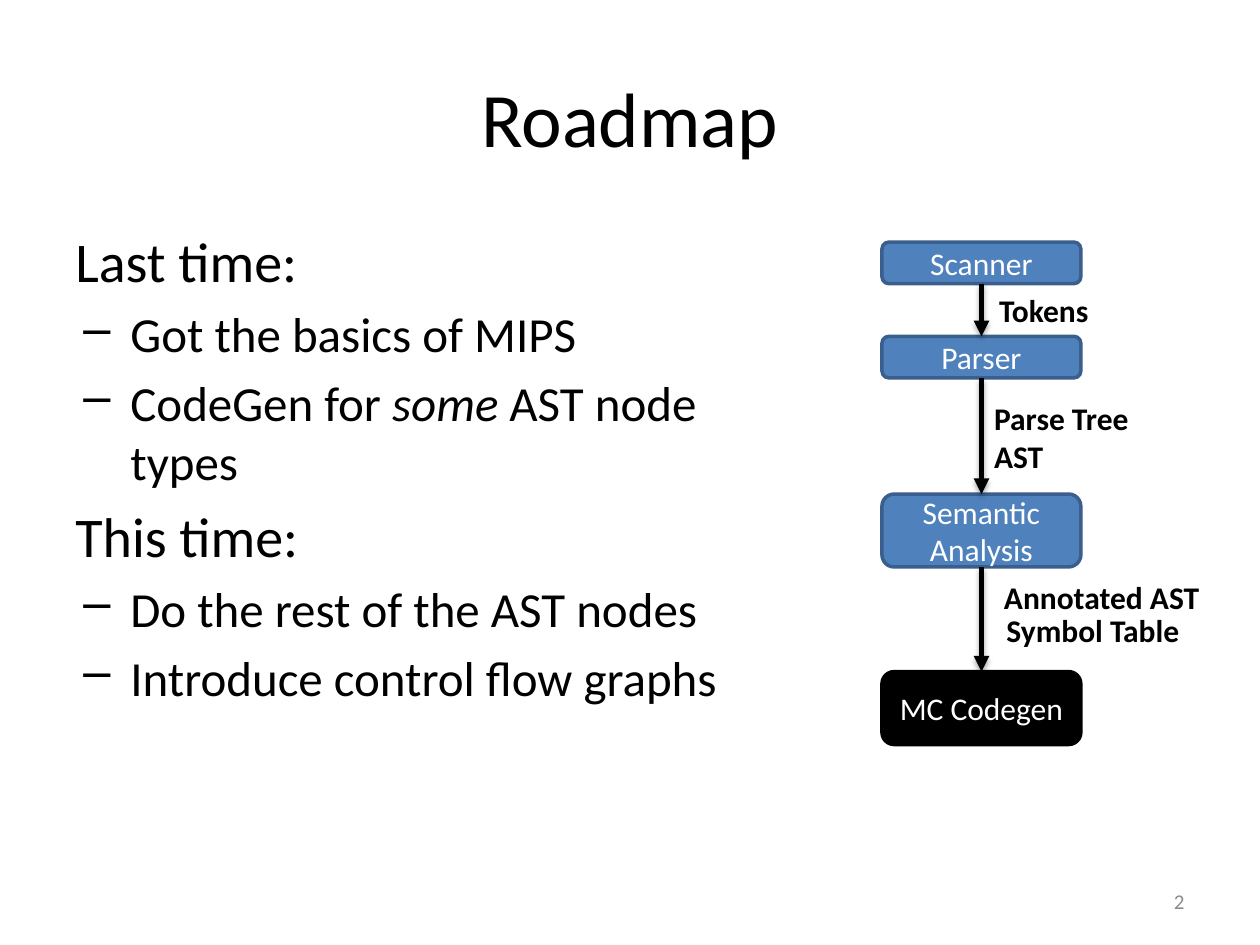
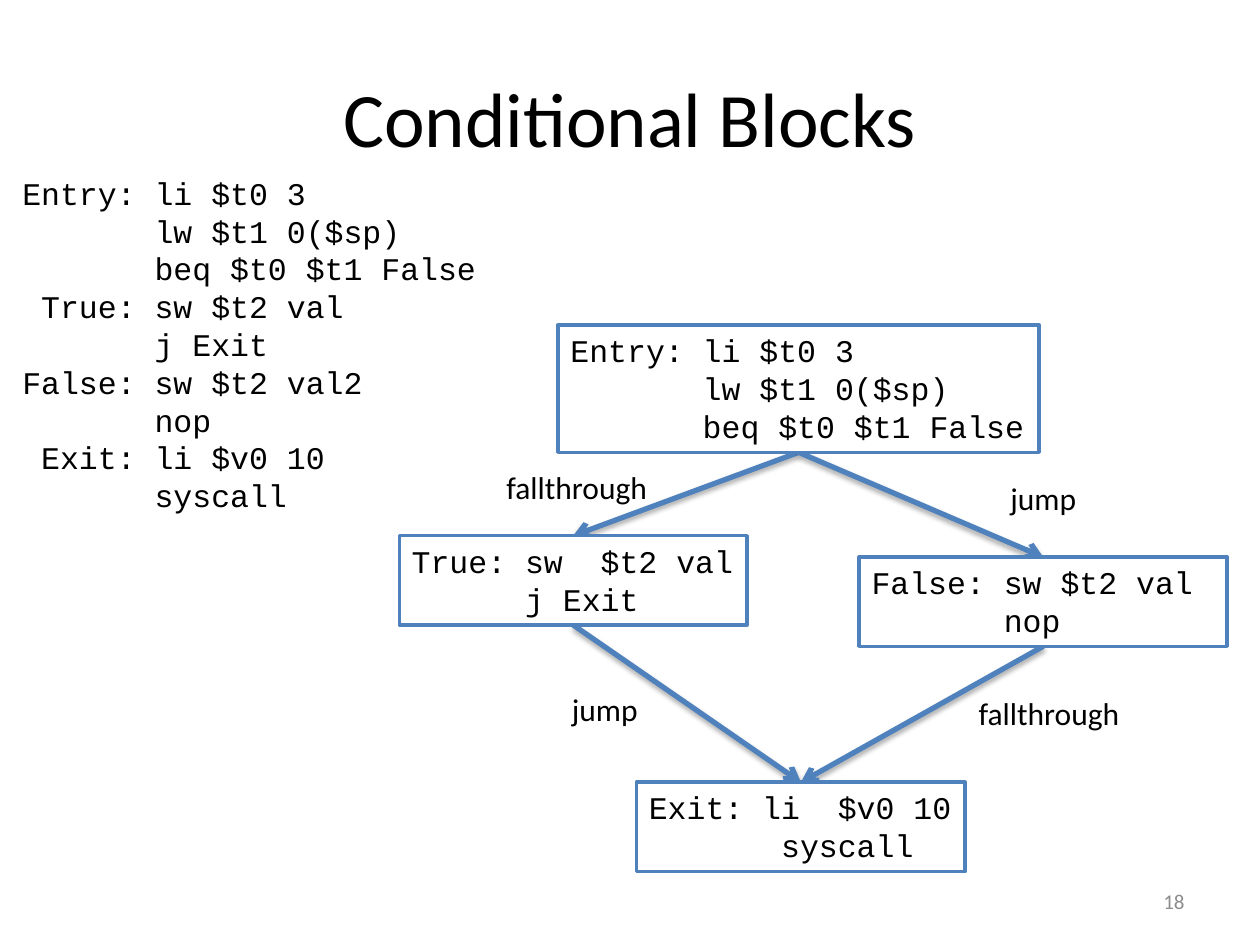
"""Build two compiler-course slides: a roadmap and a control flow graph."""
from dataclasses import dataclass
from itertools import pairwise

from lxml.etree import SubElement
from pptx import Presentation
from pptx.dml.color import RGBColor
from pptx.enum.shapes import MSO_CONNECTOR, MSO_SHAPE
from pptx.enum.text import MSO_ANCHOR, PP_ALIGN
from pptx.oxml.ns import qn
from pptx.presentation import Presentation as Deck
from pptx.shapes.autoshape import Shape
from pptx.slide import Slide
from pptx.text.text import TextFrame, _Paragraph as Paragraph
from pptx.util import Cm, Pt

BLACK, WHITE, GREY = "000000", "FFFFFF", "8C8C8C"
BLUE, DARK_BLUE = "4F81BD", "3A5F8C"
SANS, MONO = "Calibri", "Courier New"
CHARACTER_WIDTH = 0.381
LABEL_HEIGHT = 1.02


@dataclass(frozen=True)
class Area:
    """A rectangle in centimetres."""
    left: float
    top: float
    width: float
    height: float

    @property
    def center(self) -> float:
        """Return the horizontal middle."""
        return self.left + self.width / 2

    @property
    def bottom(self) -> float:
        """Return the lower edge."""
        return self.top + self.height

    def lengths(self) -> tuple[Cm, ...]:
        """Return left, top, width and height as lengths."""
        return Cm(self.left), Cm(self.top), Cm(self.width), Cm(self.height)


@dataclass(frozen=True)
class Style:
    """The look of a paragraph."""
    size: int = 18
    color: str = BLACK
    font: str = SANS
    bold: bool = False
    align: PP_ALIGN = PP_ALIGN.LEFT


@dataclass(frozen=True)
class Stage:
    """A compiler phase."""
    name: str
    area: Area
    fill: str = BLUE
    line: str = DARK_BLUE


@dataclass(frozen=True)
class Label:
    """A caption with its place."""
    text: str
    area: Area


@dataclass(frozen=True)
class CodeLine:
    """An instruction line, with indent and operand column in characters."""
    indent: int
    text: str
    operand_column: int = 11


@dataclass(frozen=True)
class Block:
    """A basic block of the flow graph."""
    area: Area
    lines: tuple[CodeLine, ...]


@dataclass(frozen=True)
class Point:
    """A line of the outline, whose second phrase is italic."""
    phrases: tuple[str, ...]
    bulleted: bool = True


TITLE_AREA = Area(1.27, 0.76, 22.86, 3.18)
NUMBER_AREA = Area(18.21, 17.65, 5.92, LABEL_HEIGHT)
OUTLINE_AREA = Area(1.27, 4.45, 13.77, 13.34)
LISTING_AREA = Area(0.2, 3.38, 9.75, 7.19)
TITLE = Style(44, align=PP_ALIGN.CENTER)
NUMBER = Style(12, GREY, align=PP_ALIGN.RIGHT)
STAGE = Style(color=WHITE, align=PP_ALIGN.CENTER)
CODE = Style(font=MONO)

OUTLINE = (
    Point(("Last time:",), False),
    Point(("Got the basics of MIPS",)),
    Point(("CodeGen for ", "some ", "AST node types")),
    Point(("This time:",), False),
    Point(("Do the rest of the AST nodes",)),
    Point(("Introduce control flow graphs",)),
)
STAGES = (
    Stage("Scanner", Area(17.78, 4.88, 4.01, 0.84)),
    Stage("Parser", Area(17.78, 6.78, 4.01, 0.84)),
    Stage("Semantic Analysis", Area(17.78, 9.96, 4.01, 1.47)),
    Stage("MC Codegen", Area(17.78, 13.54, 4.01, 1.47), BLACK, BLACK),
)
STAGE_OUTPUTS = (
    Label("Tokens", Area(19.89, 5.74, 2.31, LABEL_HEIGHT)),
    Label("Parse Tree\nAST", Area(19.79, 7.92, 3.25, 1.8)),
    Label("Annotated AST", Area(19.99, 11.53, 4.62, LABEL_HEIGHT)),
    Label("Symbol Table", Area(20.04, 12.19, 4.01, LABEL_HEIGHT)),
)
ENTRY_LINES = (
    CodeLine(0, "Entry: li\t$t0 3"),
    CodeLine(7, "lw\t$t1 0($sp)"),
    CodeLine(7, "beq $t0 $t1 False"),
)
NOP, SYSCALL = CodeLine(7, "nop"), CodeLine(7, "syscall")
LISTING = ENTRY_LINES + (
    CodeLine(1, "True: sw\t$t2 val"),
    CodeLine(7, "j Exit"),
    CodeLine(0, "False: sw\t$t2 val2"),
    NOP,
    CodeLine(1, "Exit: li\t$v0 10"),
    SYSCALL,
)
BLOCKS = {
    "entry": Block(Area(11.25, 6.55, 9.7, 2.57), ENTRY_LINES),
    "true": Block(Area(8.05, 10.8, 7.01, 1.8),
                  (CodeLine(0, "True: sw\t$t2 val", 10), CodeLine(6, "j Exit"))),
    "false": Block(Area(17.32, 11.23, 7.42, 1.8),
                   (CodeLine(0, "False: sw\t$t2 val"), NOP)),
    "exit": Block(Area(12.83, 15.77, 6.63, 1.8),
                  (CodeLine(0, "Exit: li\t$v0 10", 10), SYSCALL)),
}
EDGES = (("entry", "true"), ("entry", "false"), ("true", "exit"), ("false", "exit"))
EDGE_LABELS = (
    Label("fallthrough", Area(9.96, 9.32, 3.38, LABEL_HEIGHT)),
    Label("jump", Area(20.12, 9.53, 1.85, LABEL_HEIGHT)),
    Label("jump", Area(11.28, 13.79, 1.85, LABEL_HEIGHT)),
    Label("fallthrough", Area(19.48, 13.87, 3.38, LABEL_HEIGHT)),
)


def rgb(color: str) -> RGBColor:
    """Turn a hex string into a colour."""
    return RGBColor.from_string(color)


def format_paragraph(para: Paragraph, style: Style) -> None:
    """Apply a style to a whole paragraph."""
    para.alignment = style.align
    para.font.size = Pt(style.size)
    para.font.name = style.font
    para.font.bold = style.bold
    para.font.color.rgb = rgb(style.color)


def write(frame: TextFrame, text: str, style: Style) -> None:
    """Fill a frame with one styled paragraph per line."""
    frame.text = text
    frame.word_wrap = True
    for para in frame.paragraphs:
        format_paragraph(para, style)


def add_text(page: Slide, area: Area, text: str, style: Style) -> TextFrame:
    """Add a text box and return its frame."""
    frame = page.shapes.add_textbox(*area.lengths()).text_frame
    write(frame, text, style)
    return frame


def add_label(page: Slide, label: Label, style: Style) -> None:
    """Add a caption that may use its full width."""
    add_text(page, label.area, label.text, style).margin_right = 0


def add_box(page: Slide, kind: MSO_SHAPE, area: Area, fill: str, line: str) -> Shape:
    """Add a flat outlined shape."""
    box = page.shapes.add_shape(kind, *area.lengths())
    box.shadow.inherit = False
    box.fill.solid()
    box.fill.fore_color.rgb = rgb(fill)
    box.line.color.rgb = rgb(line)
    box.line.width = Pt(2)
    return box


def add_arrow(page: Slide, start: Area, end: Area, color: str, head: str) -> None:
    """Join the bottom of one area to the top of another, with a soft shadow."""
    arrow = page.shapes.add_connector(
        MSO_CONNECTOR.STRAIGHT, Cm(start.center), Cm(start.bottom), Cm(end.center), Cm(end.top))
    arrow.line.color.rgb = rgb(color)
    arrow.line.width = Pt(3)
    properties = arrow._element.spPr
    SubElement(properties.get_or_add_ln(), qn("a:tailEnd"), type=head)
    effects = SubElement(properties, qn("a:effectLst"))
    shadow = SubElement(effects, qn("a:outerShdw"), blurRad=str(Pt(3.1)),
                        dist=str(Pt(1.8)), dir="5400000", rotWithShape="0")
    shade = SubElement(shadow, qn("a:srgbClr"), val=BLACK)
    SubElement(shade, qn("a:alpha"), val="35000")


def write_code(frame: TextFrame, lines: tuple[CodeLine, ...]) -> None:
    """Write code with its columns set by indents and tab stops."""
    write(frame, "\n".join(line.text for line in lines), CODE)
    frame.margin_right = 0
    frame.vertical_anchor = MSO_ANCHOR.TOP
    for para, line in zip(frame.paragraphs, lines):
        properties = para._p.get_or_add_pPr()
        properties.set("marL", "0")
        properties.set("indent", str(Cm(line.indent * CHARACTER_WIDTH)))
        stops = SubElement(properties, qn("a:tabLst"))
        SubElement(stops, qn("a:tab"), algn="l",
                   pos=str(Cm(line.operand_column * CHARACTER_WIDTH)))
        properties.insert(0, stops)


def add_outline(page: Slide) -> None:
    """Add the outline with dashes and an italic middle phrase."""
    frame = add_text(page, OUTLINE_AREA, "\n".join("" for _ in OUTLINE), Style())
    for para, point in zip(frame.paragraphs, OUTLINE):
        size = 28 if point.bulleted else 32
        for index, phrase in enumerate(point.phrases):
            span = para.add_run()
            span.text = phrase
            if index == 1:
                span.font.italic = True
        if point.bulleted:
            properties = para._p.get_or_add_pPr()
            properties.set("marL", str(Cm(1.11)))
            properties.set("indent", str(Cm(-0.95)))
            dash = SubElement(properties, qn("a:buChar"), char="–")
            properties.insert(0, dash)
        para.space_before = Pt(size * 0.2)
        format_paragraph(para, Style(size))


def add_page(deck: Deck, title: str, number: int) -> Slide:
    """Add a slide with its title and number."""
    page = deck.slides.add_slide(deck.slide_layouts.get_by_name("Title Only"))
    heading = page.shapes.title
    heading.left, heading.top, heading.width, heading.height = TITLE_AREA.lengths()
    write(heading.text_frame, title, TITLE)
    heading.text_frame.vertical_anchor = MSO_ANCHOR.MIDDLE
    frame = add_text(page, NUMBER_AREA, str(number), NUMBER)
    frame.vertical_anchor = MSO_ANCHOR.MIDDLE
    return page


def build_roadmap(deck: Deck) -> None:
    """Build the outline beside the compiler pipeline."""
    page = add_page(deck, "Roadmap", 2)
    add_outline(page)
    for stage in STAGES:
        box = add_box(page, MSO_SHAPE.ROUNDED_RECTANGLE, stage.area, stage.fill, stage.line)
        write(box.text_frame, stage.name, STAGE)
    for start, end in pairwise(STAGES):
        add_arrow(page, start.area, end.area, BLACK, "triangle")
    for label in STAGE_OUTPUTS:
        add_label(page, label, Style(bold=True))


def build_conditional_blocks(deck: Deck) -> None:
    """Build the code listing and its flow graph."""
    page = add_page(deck, "Conditional Blocks", 18)
    write_code(add_text(page, LISTING_AREA, "", CODE), LISTING)
    for start, end in EDGES:
        add_arrow(page, BLOCKS[start].area, BLOCKS[end].area, BLUE, "arrow")
    for block in BLOCKS.values():
        box = add_box(page, MSO_SHAPE.RECTANGLE, block.area, WHITE, BLUE)
        write_code(box.text_frame, block.lines)
    for label in EDGE_LABELS:
        add_label(page, label, Style())


def main() -> None:
    """Build and save the deck."""
    deck = Presentation()
    deck.slide_width, deck.slide_height = Cm(25.4), Cm(19.05)
    build_roadmap(deck)
    build_conditional_blocks(deck)
    deck.save("out.pptx")


if __name__ == "__main__":
    main()
